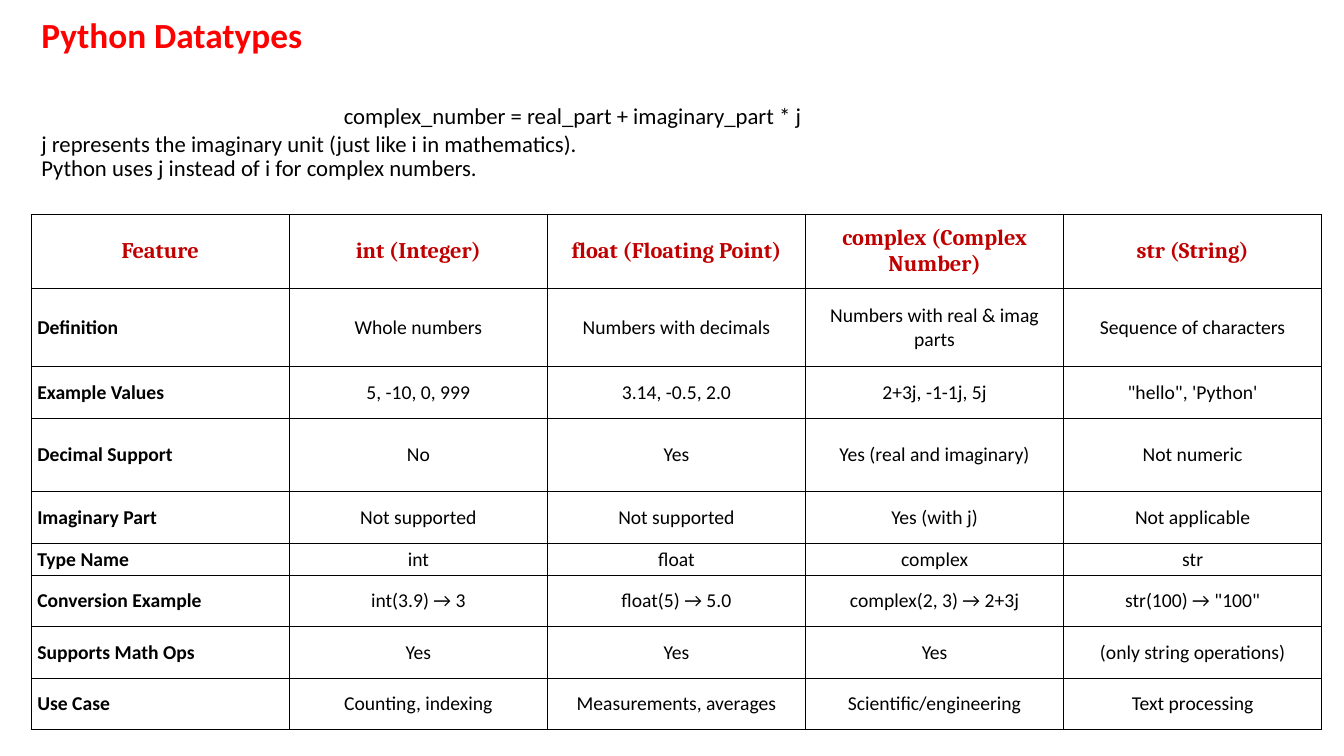
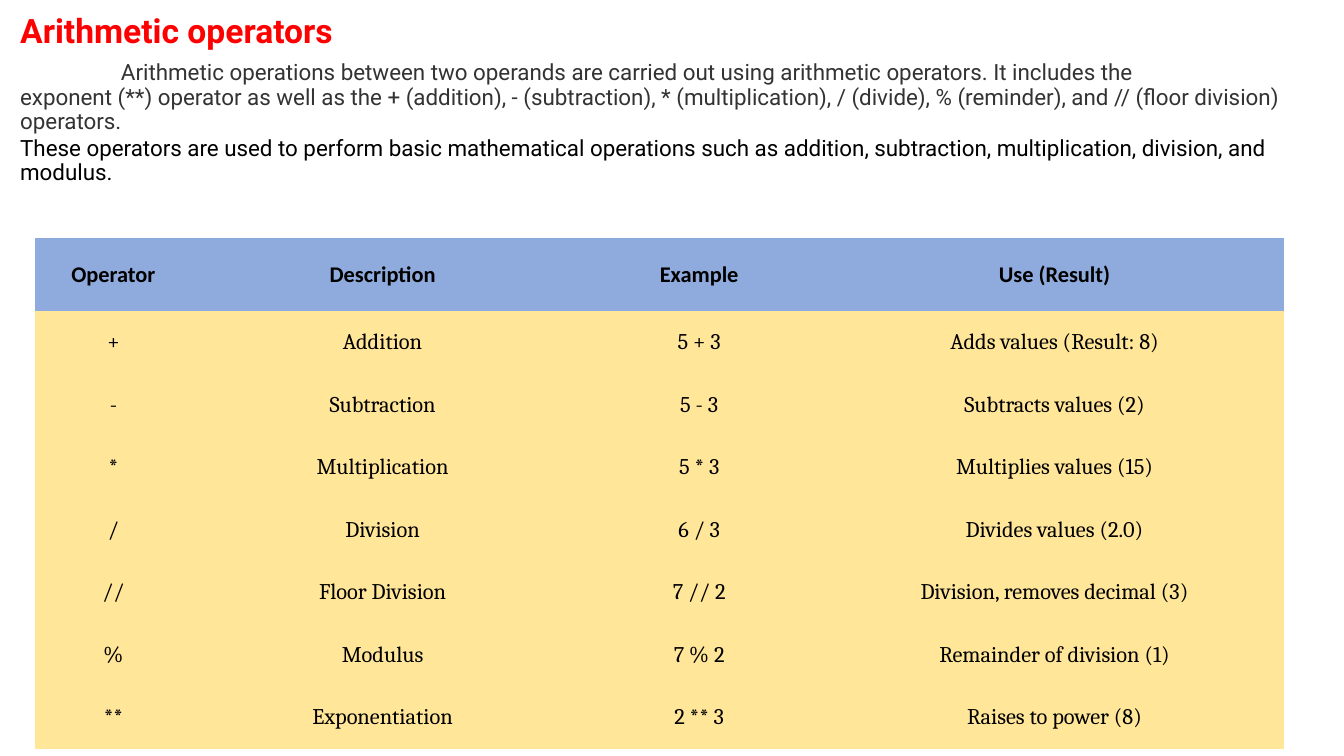
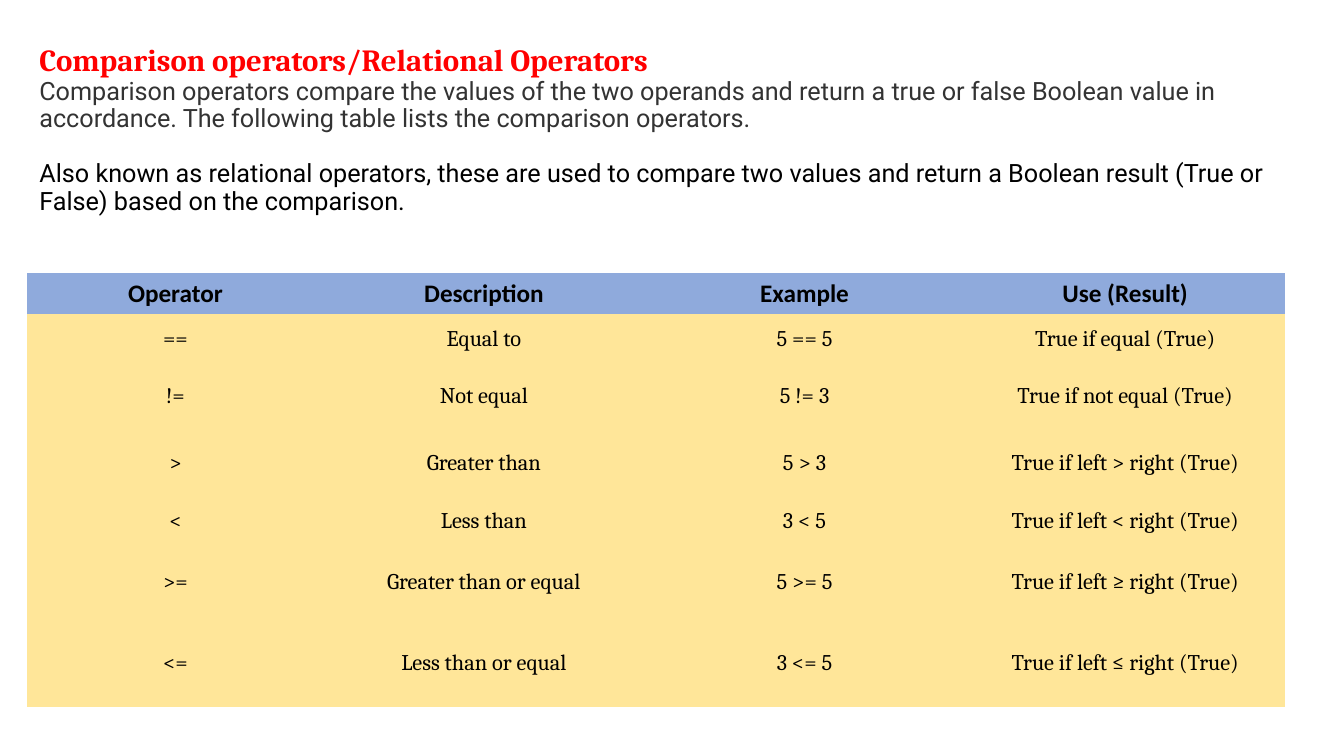
from dataclasses import dataclass

from lxml.etree import SubElement
from pptx import Presentation
from pptx.dml.color import RGBColor
from pptx.enum.text import MSO_ANCHOR, MSO_AUTO_SIZE, PP_ALIGN
from pptx.oxml.ns import qn
from pptx.util import Emu, Pt

RED = RGBColor(0xFF, 0x00, 0x00)
DARK_RED = RGBColor(0xC0, 0x00, 0x00)
BLACK = RGBColor(0x00, 0x00, 0x00)
GREY = RGBColor(0x33, 0x33, 0x33)
BLUE = RGBColor(0x8F, 0xAA, 0xDC)
YELLOW = RGBColor(0xFF, 0xE6, 0x99)

SLIDE_SIZE = (1333, 750)
TITLE_ONLY = 5
NO_STYLE = "{2D5ABB26-0587-4C30-8999-92F81FD0307C}"


@dataclass
class Style:
    size: float
    font: str
    color: RGBColor = BLACK
    bold: bool = False


@dataclass
class Line:
    text: str
    style: Style
    before: int = 0
    margin: int = 0
    indent: int = 0


@dataclass
class Look:
    header: Style
    label: Style
    body: Style
    label_align: PP_ALIGN
    insets: tuple
    header_fill: RGBColor = None
    body_fill: RGBColor = None
    border: RGBColor = None


def px(value):
    return Emu(value * 9144)


def apply_style(para, style):
    for span in para.runs:
        span.font.size = Pt(style.size)
        span.font.name = style.font
        span.font.bold = style.bold
        span.font.color.rgb = style.color


def add_heading(page, box, top_inset, lines):
    title = page.shapes.title
    title.left, title.top, title.width, title.height = map(px, box)
    frame = title.text_frame
    frame.word_wrap = True
    frame.auto_size = MSO_AUTO_SIZE.NONE
    frame.vertical_anchor = MSO_ANCHOR.TOP
    frame.margin_left = frame.margin_right = px(10)
    frame.margin_top = px(top_inset)
    for index, line in enumerate(lines):
        para = frame.add_paragraph() if index else frame.paragraphs[0]
        para.text = line.text
        para.alignment = PP_ALIGN.LEFT
        para.line_spacing = 0.9
        para.space_before = Pt(line.before)
        properties = para._p.get_or_add_pPr()
        properties.set("marL", str(px(line.margin)))
        properties.set("indent", str(px(line.indent)))
        apply_style(para, line.style)


def add_borders(cell, color):
    properties = cell._tc.get_or_add_tcPr()
    for side in ("lnL", "lnR", "lnT", "lnB"):
        edge = SubElement(properties, qn(f"a:{side}"), w=str(Pt(1)))
        fill = SubElement(edge, qn("a:solidFill"))
        SubElement(fill, qn("a:srgbClr"), val=str(color))


def format_cell(cell, text, style, align, fill, look):
    cell.text = text
    cell.vertical_anchor = MSO_ANCHOR.MIDDLE
    side, end = map(px, look.insets)
    cell.margin_left = cell.margin_right = side
    cell.margin_top = cell.margin_bottom = end
    para = cell.text_frame.paragraphs[0]
    para.alignment = align
    apply_style(para, style)
    if look.border is not None:
        add_borders(cell, look.border)
    if fill is None:
        cell.fill.background()
    else:
        cell.fill.solid()
        cell.fill.fore_color.rgb = fill


def add_grid(page, corner, widths, heights, rows, look):
    box = (*corner, sum(widths), sum(heights))
    frame = page.shapes.add_table(len(rows), len(widths), *map(px, box))
    table = frame.table
    table._tbl.tblPr.find(qn("a:tableStyleId")).text = NO_STYLE
    table.first_row = table.horz_banding = False
    for column, width in zip(table.columns, widths):
        column.width = px(width)
    for y, (height, texts) in enumerate(zip(heights, rows)):
        table.rows[y].height = px(height)
        for x, text in enumerate(texts):
            if y == 0:
                style, align, fill = look.header, PP_ALIGN.CENTER, look.header_fill
            elif x == 0:
                style, align, fill = look.label, look.label_align, look.body_fill
            else:
                style, align, fill = look.body, PP_ALIGN.CENTER, look.body_fill
            format_cell(table.cell(y, x), text, style, align, fill, look)


def operator_look(header_size, insets):
    body = Style(16, "Cambria")
    header = Style(header_size, "Calibri", bold=True)
    return Look(header, body, body, PP_ALIGN.CENTER, insets, BLUE, YELLOW)


def add_page(deck):
    return deck.slides.add_slide(deck.slide_layouts[TITLE_ONLY])


def build_datatypes(deck):
    page = add_page(deck)
    note = Style(16.2, "Calibri")
    add_heading(page, (31, 13, 1228, 177), 5, [
        Line("Python Datatypes", Style(25.2, "Calibri", RED, True)),
        Line("complex_number = real_part + imaginary_part * j", note, 35, margin=300),
        Line("j represents the imaginary unit (just like i in mathematics).", note, 2),
        Line("Python uses j instead of i for complex numbers.", note),
    ])
    rows = [
        ("Feature", "int (Integer)", "float (Floating Point)",
         "complex (Complex Number)", "str (String)"),
        ("Definition", "Whole numbers", "Numbers with decimals",
         "Numbers with real & imag parts", "Sequence of characters"),
        ("Example Values", "5, -10, 0, 999", "3.14, -0.5, 2.0",
         "2+3j, -1-1j, 5j", "\"hello\", 'Python'"),
        ("Decimal Support", "No", "Yes", "Yes (real and imaginary)", "Not numeric"),
        ("Imaginary Part", "Not supported", "Not supported",
         "Yes (with j)", "Not applicable"),
        ("Type Name", "int", "float", "complex", "str"),
        ("Conversion Example", "int(3.9) → 3", "float(5) → 5.0",
         "complex(2, 3) → 2+3j", "str(100) → \"100\""),
        ("Supports Math Ops", "Yes", "Yes", "Yes", "(only string operations)"),
        ("Use Case", "Counting, indexing", "Measurements, averages",
         "Scientific/engineering", "Text processing"),
    ]
    look = Look(Style(16, "Cambria", DARK_RED, True), Style(14, "Calibri", bold=True),
                Style(14, "Calibri"), PP_ALIGN.LEFT, (6, 3), border=BLACK)
    heights = [73, 78, 51, 73, 51, 32, 51, 51, 51]
    add_grid(page, (31, 213), [256] * 5, heights, rows, look)


def build_arithmetic(deck):
    page = add_page(deck)
    add_heading(page, (10, 11, 1302, 215), 3, [
        Line("Arithmetic operators", Style(24, "Roboto", RED, True)),
        Line("Arithmetic operations between two operands are carried out using "
             "arithmetic operators. It includes the\vexponent (**) operator as well as "
             "the + (addition), - (subtraction), * (multiplication), / (divide), "
             "% (reminder), and // (floor division) operators.",
             Style(16, "Roboto", GREY), 8, indent=100),
        Line("These operators are used to perform basic mathematical operations such as "
             "addition, subtraction, multiplication, division, and modulus.",
             Style(16, "Roboto"), 2),
    ])
    rows = [
        ("Operator", "Description", "Example", "Use (Result)"),
        ("+", "Addition", "5 + 3", "Adds values (Result: 8)"),
        ("-", "Subtraction", "5 - 3", "Subtracts values (2)"),
        ("*", "Multiplication", "5 * 3", "Multiplies values (15)"),
        ("/", "Division", "6 / 3", "Divides values (2.0)"),
        ("//", "Floor Division", "7 // 2", "Division, removes decimal (3)"),
        ("%", "Modulus", "7 % 2", "Remainder of division (1)"),
        ("**", "Exponentiation", "2 ** 3", "Raises to power (8)"),
    ]
    widths = [155, 379, 249, 456]
    add_grid(page, (35, 236), widths, [73] + [62] * 7, rows, operator_look(16, (8, 4)))


def build_comparison(deck):
    page = add_page(deck)
    add_heading(page, (29, 33, 1246, 194), 12, [
        Line("Comparison operators/Relational Operators",
             Style(22, "Cambria", RED, True)),
        Line("Comparison operators compare the values of the two operands and return a "
             "true or false Boolean value in accordance. The following table lists the "
             "comparison operators.", Style(18, "Roboto", GREY)),
        Line("Also known as relational operators, these are used to compare two values "
             "and return a Boolean result (True or False) based on the comparison.",
             Style(18, "Roboto"), 20),
    ])
    rows = [
        ("Operator", "Description", "Example", "Use (Result)"),
        ("==", "Equal to", "5 == 5", "True if equal (True)"),
        ("!=", "Not equal", "5 != 3", "True if not equal (True)"),
        (">", "Greater than", "5 > 3", "True if left > right (True)"),
        ("<", "Less than", "3 < 5", "True if left < right (True)"),
        (">=", "Greater than or equal", "5 >= 5", "True if left ≥ right (True)"),
        ("<=", "Less than or equal", "3 <= 5", "True if left ≤ right (True)"),
    ]
    heights = [39, 50, 64, 68, 48, 73, 87]
    add_grid(page, (27, 271), [294] + [318] * 3, heights, rows,
             operator_look(18, (10, 5)))


def main():
    deck = Presentation()
    deck.slide_width, deck.slide_height = map(px, SLIDE_SIZE)
    build_datatypes(deck)
    build_arithmetic(deck)
    build_comparison(deck)
    deck.save("out.pptx")


if __name__ == "__main__":
    main()
